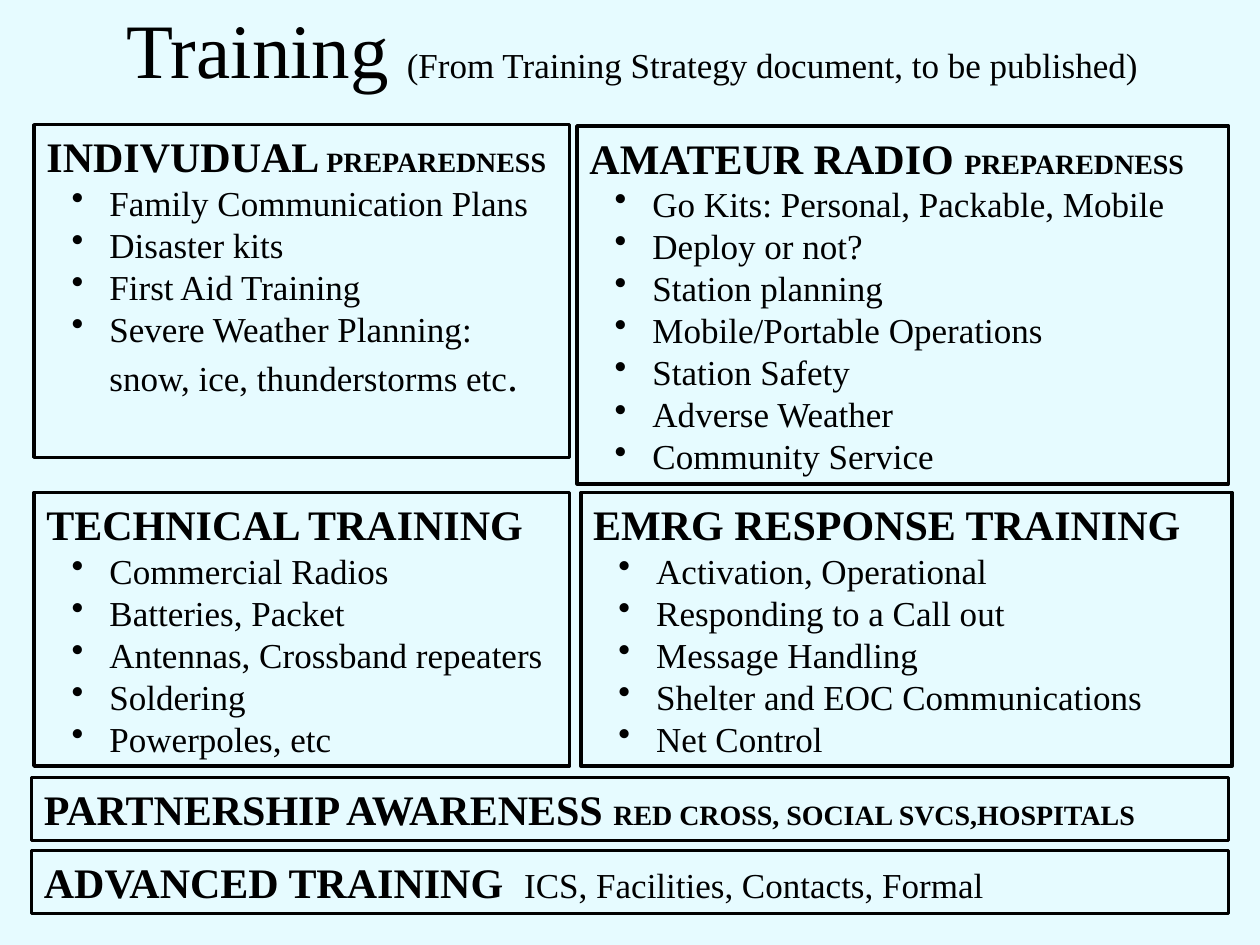
import pptx
import pptx.util
import pptx.dml.color
import pptx.enum.shapes
import pptx.enum.text
import pptx.oxml.ns
import lxml.etree

Inches, Pt = pptx.util.Inches, pptx.util.Pt
HUES = {"ink": "000000", "back": "E6FBFF"}
HEAD, BODY, NOTE = 24, 20, 16


class Board:
    """Style and current slide; lengths are cells of a 40 by 30 grid."""
    font = "Times New Roman"
    cols, rows = 40, 30

    def __init__(self, deck):
        self.wide, self.high = deck.slide_width, deck.slide_height
        self.slide = deck.slides.add_slide(deck.slide_layouts[6])
        back = self.slide.background.fill
        back.solid()
        back.fore_color.rgb = self.hue("back")

    def hue(self, name):
        return pptx.dml.color.RGBColor.from_string(HUES[name])

    def place(self, col, row, cols, rows):
        x, y = self.wide / self.cols, self.high / self.rows
        return [round(n) for n in (col * x, row * y, cols * x, rows * y)]

    def label(self, para, runs):
        """Add (text, size, bold) runs to a paragraph."""
        for text, size, bold in runs:
            run = para.add_run()
            run.text = text
            run.font.name = self.font
            run.font.size = Pt(size)
            run.font.bold = bold
            run.font.color.rgb = self.hue("ink")

    def bullet(self, para):
        para.level = 1
        props = para._p.get_or_add_pPr()
        props.set("marL", str(Inches(0.5)))
        props.set("indent", str(Inches(-0.3)))
        mark = lxml.etree.SubElement(props, pptx.oxml.ns.qn("a:buChar"))
        mark.set("char", "•")

    def title(self, area, runs):
        frame = self.slide.shapes.add_textbox(*self.place(*area)).text_frame
        frame.word_wrap = True
        frame.vertical_anchor = pptx.enum.text.MSO_ANCHOR.MIDDLE
        para = frame.paragraphs[0]
        para.alignment = pptx.enum.text.PP_ALIGN.CENTER
        self.label(para, runs)

    def panel(self, area, head, items=()):
        """Outlined box with a heading and bullets, each a list of runs."""
        box = self.slide.shapes.add_shape(
            pptx.enum.shapes.MSO_SHAPE.RECTANGLE, *self.place(*area))
        box.shadow.inherit = False
        box.fill.background()
        box.line.color.rgb = self.hue("ink")
        box.line.width = Pt(2)
        frame = box.text_frame
        frame.word_wrap = True
        frame.vertical_anchor = pptx.enum.text.MSO_ANCHOR.TOP
        self.label(frame.paragraphs[0], head)
        for runs in items:
            para = frame.add_paragraph()
            self.bullet(para)
            self.label(para, runs)
        for para in frame.paragraphs:
            para.alignment = pptx.enum.text.PP_ALIGN.LEFT


def plain(*texts):
    """One body-size run for each bullet."""
    return [[(text, BODY, False)] for text in texts]


def main():
    deck = pptx.Presentation()
    deck.slide_width, deck.slide_height = Inches(10), Inches(7.5)
    board = Board(deck)
    left, edge = 1.08, 1
    slim, broad, full = 17, 20.68, 38
    mid, tall = 15.64, 8.68

    board.title((left, 0, full, 3), [
        ("Training", 44, False), (" ", 40, False),
        ("(From Training Strategy document, to be published)", BODY, False)])

    board.panel(
        (left, 3.96, slim, 10.56),
        [("INDIVUDUAL", HEAD, True), (" PREPAREDNESS", NOTE, True)],
        plain("Family Communication Plans", "Disaster kits",
              "First Aid Training")
        + [[("Severe Weather Planning: snow, ice, thunderstorms etc",
             BODY, False), (".", HEAD, False)]])
    board.panel(
        (18.32, 4, broad, 11.36),
        [("AMATEUR RADIO ", HEAD, True), ("PREPAREDNESS", NOTE, True)],
        plain("Go Kits: Personal, Packable, Mobile", "Deploy or not?",
              "Station planning", "Mobile/Portable Operations",
              "Station Safety", "Adverse Weather", "Community Service"))
    board.panel(
        (left, mid, slim, tall), [("TECHNICAL TRAINING", HEAD, True)],
        plain("Commercial Radios", "Batteries, Packet",
              "Antennas, Crossband repeaters", "Soldering",
              "Powerpoles, etc"))
    board.panel(
        (18.44, mid, broad, tall),
        [("EMRG RESPONSE TRAINING", HEAD, True)],
        plain("Activation, Operational", "Responding to a Call out",
              "Message Handling", "Shelter and EOC Communications",
              "Net Control"))
    board.panel(
        (edge, 27, full, 2),
        [("ADVANCED TRAINING  ", HEAD, True),
         ("ICS, Facilities, Contacts, Formal", BODY, False)])
    board.panel(
        (edge, 24.68, full, 2),
        [("PARTNERSHIP AWARENESS ", HEAD, True),
         ("RED CROSS, SOCIAL SVCS,HOSPITALS", NOTE, True)])
    deck.save("out.pptx")


if __name__ == "__main__":
    main()
